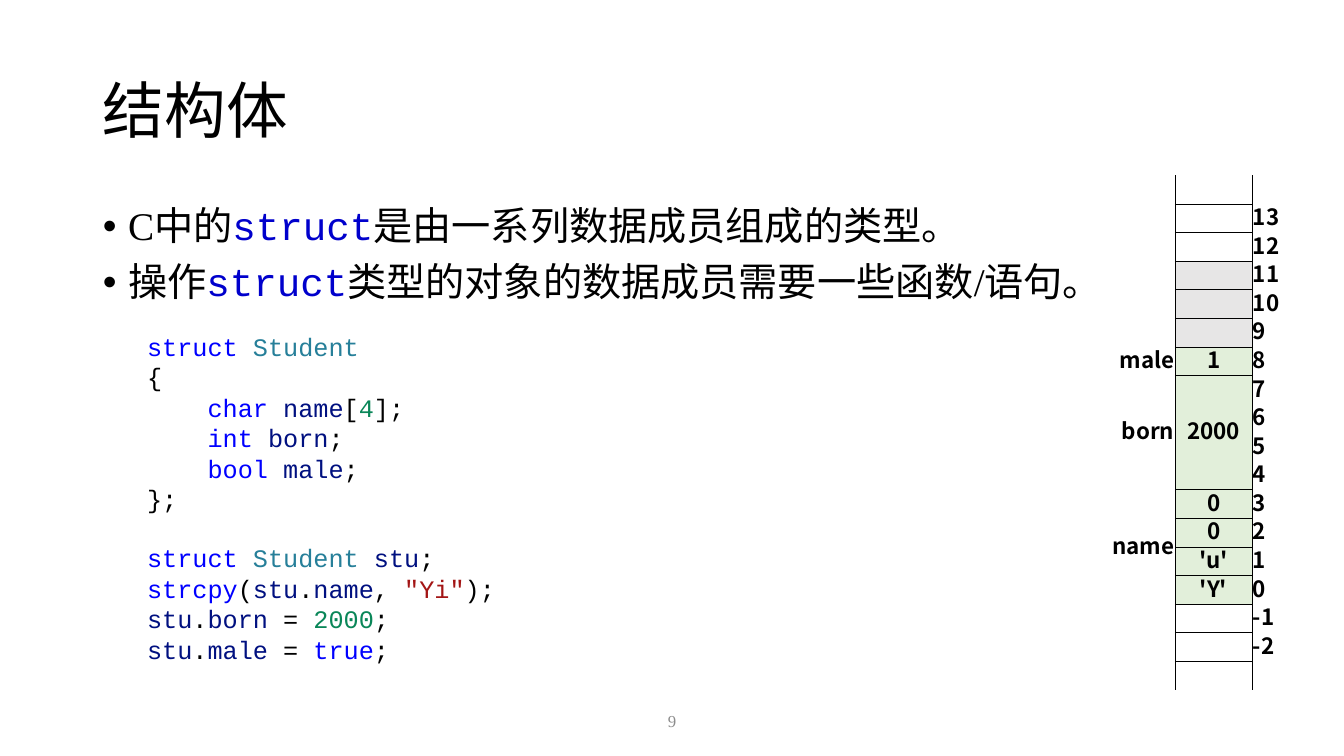
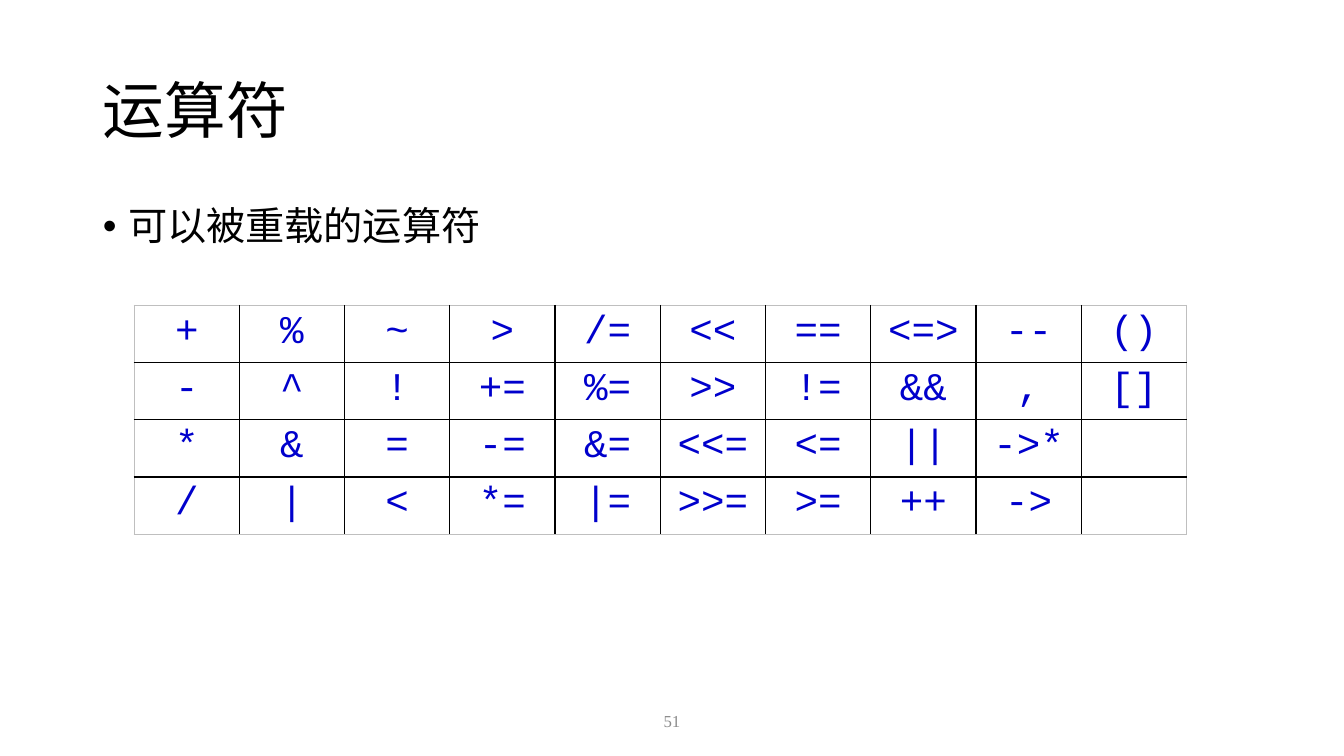
from lxml import etree
from pptx import Presentation
from pptx import util as u
from pptx.dml.color import RGBColor
from pptx.enum import text as t
from pptx.oxml.ns import qn

# Shared fonts and colours
SERIF, MONO, SANS = "Times New Roman", "Courier New", "Noto Sans CJK SC"
BLACK = RGBColor(0x00, 0x00, 0x00)
FOOTER_GREY = RGBColor(0x8C, 0x8C, 0x8C)
EDGE_GREY = RGBColor(0xBF, 0xBF, 0xBF)
CODE_BLUE = RGBColor(0x00, 0x00, 0xCC)
KEYWORD = RGBColor(0x00, 0x00, 0xFF)
TYPE = RGBColor(0x26, 0x7F, 0x99)
VARIABLE = RGBColor(0x00, 0x10, 0x80)
NUMBER = RGBColor(0x09, 0x86, 0x58)
STRING = RGBColor(0xA3, 0x15, 0x15)
PADDING_FILL = RGBColor(0xE7, 0xE6, 0xE6)
MEMBER_FILL = RGBColor(0xE2, 0xEF, 0xDA)

# Slide size, and areas as percentages of it: left, top, width, height
WIDTH, HEIGHT = u.Inches(13.33), u.Inches(7.5)
TITLE_AREA = (6.9, 5.33, 86.25, 19.33)
BODY_AREA = (6.9, 26.67, 86.25, 63.47)
FOOTER_AREA = (46.95, 92.67, 6.1, 5.33)
CODE_AREA = (10.2, 43.1, 46, 48)

LEFT, CENTER, RIGHT = t.PP_ALIGN.LEFT, t.PP_ALIGN.CENTER, t.PP_ALIGN.RIGHT
MIDDLE = t.MSO_ANCHOR.MIDDLE

# Code lines: indent level, then coloured pieces
STUDENT_CODE = [
    (0, [("struct ", KEYWORD), ("Student", TYPE)]),
    (0, [("{", BLACK)]),
    (1, [("char ", KEYWORD), ("name", VARIABLE), ("[", BLACK), ("4", NUMBER), ("];", BLACK)]),
    (1, [("int ", KEYWORD), ("born", VARIABLE), (";", BLACK)]),
    (1, [("bool ", KEYWORD), ("male", VARIABLE), (";", BLACK)]),
    (0, [("};", BLACK)]),
]
USAGE_CODE = [
    (0, [("struct ", KEYWORD), ("Student ", TYPE), ("stu", VARIABLE), (";", BLACK)]),
    (0, [("strcpy", KEYWORD), ("(", BLACK), ("stu", VARIABLE), (".", BLACK),
         ("name", VARIABLE), (", ", BLACK), ('"Yi"', STRING), (");", BLACK)]),
    (0, [("stu", VARIABLE), (".", BLACK), ("born", VARIABLE), (" = ", BLACK),
         ("2000", NUMBER), (";", BLACK)]),
    (0, [("stu", VARIABLE), (".", BLACK), ("male", VARIABLE), (" = ", BLACK),
         ("true", KEYWORD), (";", BLACK)]),
]

# Memory rows run from address 14 down to -3; both ends are open
MEMORY_ROWS = 18
TOP_ADDRESS = 14
MEMBERS = {8: "male", 7: "born", 3: "name"}
VALUES = {8: "1", 7: "2000", 3: "0", 2: "0", 1: "'u'", 0: "'Y'"}

OPERATORS = [
    "+ % ~ > /= << == <=> -- ()".split(),
    "- ^ ! += %= >> != && , []".split(),
    "* & = -= &= <<= <= || ->*".split(),
    "/ | < *= |= >>= >= ++ ->".split(),
]


def across(percent):
    return u.Emu(round(WIDTH * percent / 100))


def down(percent):
    return u.Emu(round(HEIGHT * percent / 100))


def place(area):
    left, top, width, height = area
    return across(left), down(top), across(width), down(height)


def write(paragraph, content, *, font=SERIF, size=28, color=BLACK, bold=False):
    """Add one formatted run."""
    run = paragraph.add_run()
    run.text = content
    run.font.name = font
    run.font.size = u.Pt(size)
    run.font.bold = bold
    run.font.color.rgb = color
    east_asian = etree.SubElement(run.font._element, qn("a:ea"))
    east_asian.set("typeface", SANS)


def arrange(paragraph, *, align=LEFT, line=1.0, before=0, margin=0, indent=0):
    """Set the alignment, spacing and indent (in inches) of a paragraph."""
    paragraph.alignment = align
    paragraph.line_spacing = line
    paragraph.space_before = u.Pt(before)
    properties = paragraph._p.get_or_add_pPr()
    properties.set("marL", str(u.Inches(margin)))
    properties.set("indent", str(u.Inches(indent)))


def new_paragraph(frame, index):
    return frame.paragraphs[0] if index == 0 else frame.add_paragraph()


def add_text_box(slide, area):
    frame = slide.shapes.add_textbox(*place(area)).text_frame
    frame.word_wrap = True
    return frame


def add_slide(presentation, title, bullets, number):
    """Add a slide with title, bullets of (text, font, colour) and page number."""
    slide = presentation.slides.add_slide(presentation.slide_layouts[1])
    heading, body = slide.placeholders
    for placeholder, area in ((heading, TITLE_AREA), (body, BODY_AREA)):
        placeholder.left, placeholder.top, placeholder.width, placeholder.height = place(area)
        placeholder.text_frame.auto_size = t.MSO_AUTO_SIZE.NONE
    heading.text_frame.vertical_anchor = MIDDLE
    paragraph = heading.text_frame.paragraphs[0]
    arrange(paragraph, line=0.9)
    write(paragraph, title, size=44)

    for index, pieces in enumerate(bullets):
        paragraph = new_paragraph(body.text_frame, index)
        arrange(paragraph, line=0.9, before=10, margin=0.25, indent=-0.25)
        for content, font, color in pieces:
            write(paragraph, content, font=font, color=color)

    footer = add_text_box(slide, FOOTER_AREA)
    footer.vertical_anchor = MIDDLE
    arrange(footer.paragraphs[0], align=CENTER)
    write(footer.paragraphs[0], str(number), size=12, color=FOOTER_GREY)
    return slide


def add_code(slide, blocks):
    """Write blocks of code, set apart by paragraph spacing."""
    frame = add_text_box(slide, CODE_AREA)
    count = 0
    for block in blocks:
        for row, (level, pieces) in enumerate(block):
            paragraph = new_paragraph(frame, count)
            gap = 20.3 if row == 0 and count else 0
            arrange(paragraph, line=u.Pt(21.8), before=gap, margin=0.6 * level)
            for content, color in pieces:
                write(paragraph, content, font=MONO, size=18, color=color)
            count += 1


def add_grid(slide, left, top, column_widths, row_count, row_height):
    """Add an unstyled table; lengths are percentages of the slide."""
    area = (left, top, sum(column_widths), row_count * row_height)
    table = slide.shapes.add_table(row_count, len(column_widths), *place(area)).table
    table.first_row = table.horz_banding = False
    for column, width in zip(table.columns, column_widths):
        column.width = across(width)
    for row in table.rows:
        row.height = down(row_height)
    return table


def style_cell(cell, borders, points, fill=None):
    """Draw the given sides, {"L": colour, ...}; leave other sides bare."""
    properties = cell._tc.get_or_add_tcPr()
    for side in "LRTB":
        line = etree.SubElement(properties, qn("a:ln" + side), w=str(u.Pt(points)))
        if side in borders:
            solid = etree.SubElement(line, qn("a:solidFill"))
            etree.SubElement(solid, qn("a:srgbClr"), val=str(borders[side]))
        else:
            etree.SubElement(line, qn("a:noFill"))
    if fill is None:
        cell.fill.background()
    else:
        cell.fill.solid()
        cell.fill.fore_color.rgb = fill


def add_memory(slide):
    """Draw the memory column with member names and addresses."""
    table = add_grid(slide, 80.1, 23.2, (7.35, 5.7, 4.2), MEMORY_ROWS, 3.78)
    last = MEMORY_ROWS - 1
    for row in range(MEMORY_ROWS):
        address = TOP_ADDRESS - row
        sides = "LR" + ("T" if row > 0 else "") + ("B" if row < last else "")
        fill = None
        if 0 <= address <= 8:
            fill = MEMBER_FILL
        elif 9 <= address <= 11:
            fill = PADDING_FILL
        label = str(address) if 0 < row < last else ""
        columns = (
            (MEMBERS.get(address, ""), RIGHT, "R", None),
            (VALUES.get(address, ""), CENTER, sides, fill),
            (label, LEFT, "L", None),
        )
        for column, (content, align, edges, cell_fill) in enumerate(columns):
            cell = table.cell(row, column)
            cell.vertical_anchor = MIDDLE
            cell.margin_left = cell.margin_right = cell.margin_top = u.Inches(0.01)
            cell.margin_bottom = 0
            style_cell(cell, dict.fromkeys(edges, BLACK), 0.5, cell_fill)
            paragraph = cell.text_frame.paragraphs[0]
            arrange(paragraph, align=align, line=u.Pt(19))
            if content:
                write(paragraph, content, font=SANS, size=16, bold=True)
            else:
                end = etree.SubElement(paragraph._p, qn("a:endParaRPr"))
                end.set("sz", "1200")
    # Four-byte members span four rows
    for address, column in ((7, 0), (7, 1), (3, 0)):
        first = TOP_ADDRESS - address
        table.cell(first, column).merge(table.cell(first + 3, column))


def add_operators(slide):
    """Tabulate the operators: black inner lines, grey outer edge."""
    row_count, column_count = len(OPERATORS), len(OPERATORS[0])
    table = add_grid(slide, 9.98, 40.4, [7.83] * column_count, row_count, 7.2)
    for row, symbols in enumerate(OPERATORS):
        for column in range(column_count):
            outer = {"L": column == 0, "R": column == column_count - 1,
                     "T": row == 0, "B": row == row_count - 1}
            borders = {side: EDGE_GREY if edge else BLACK for side, edge in outer.items()}
            cell = table.cell(row, column)
            style_cell(cell, borders, 1)
            if column < len(symbols):
                paragraph = cell.text_frame.paragraphs[0]
                arrange(paragraph, align=CENTER)
                write(paragraph, symbols[column], font=MONO, color=CODE_BLUE)


def main():
    presentation = Presentation()
    presentation.slide_width, presentation.slide_height = WIDTH, HEIGHT

    # Structures and their memory layout
    struct = ("struct", MONO, CODE_BLUE)
    slide = add_slide(presentation, "结构体", [
        [("C中的", SERIF, BLACK), struct, ("是由一系列数据成员组成的类型。", SERIF, BLACK)],
        [("操作", SERIF, BLACK), struct,
         ("类型的对象的数据成员需要一些函数/语句。", SERIF, BLACK)],
    ], 9)
    add_code(slide, [STUDENT_CODE, USAGE_CODE])
    add_memory(slide)

    # Operators that can be overloaded
    slide = add_slide(presentation, "运算符", [[("可以被重载的运算符", SERIF, BLACK)]], 51)
    add_operators(slide)

    presentation.save("out.pptx")


if __name__ == "__main__":
    main()
